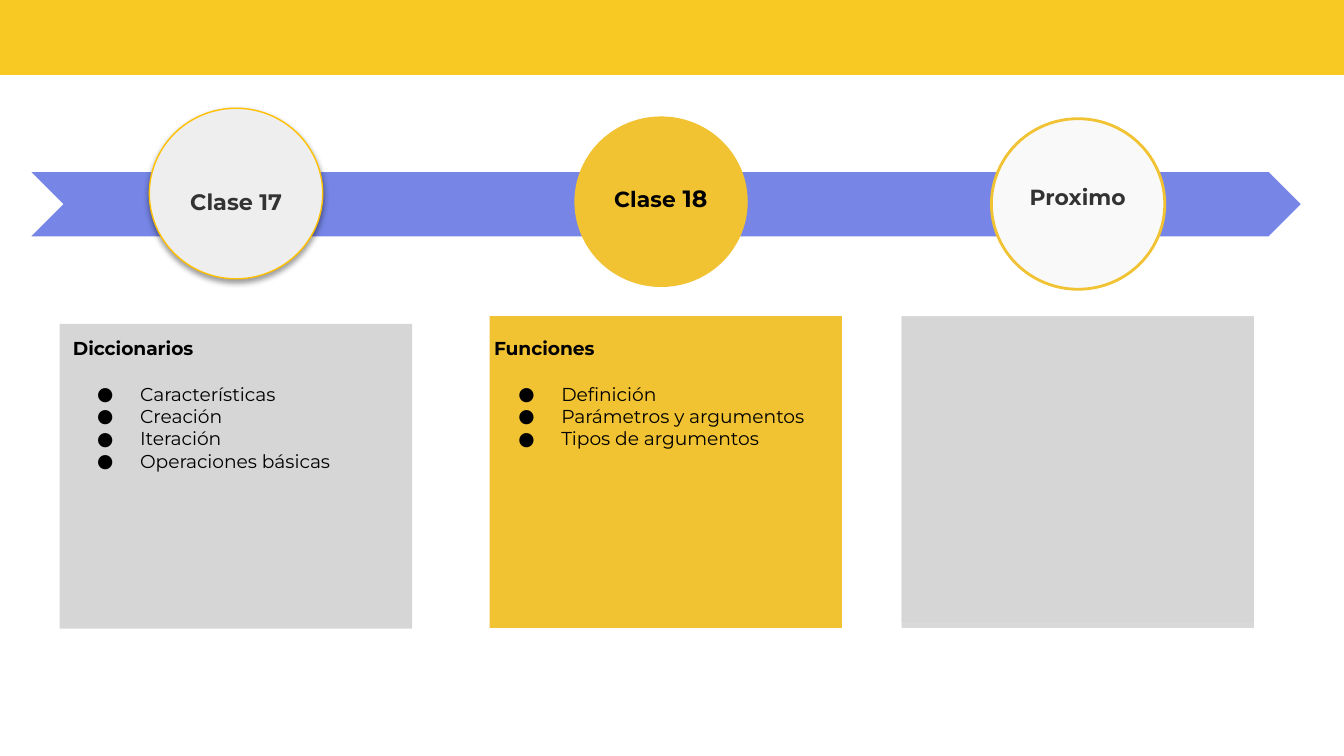
from dataclasses import dataclass
from typing import Optional

from lxml.etree import SubElement
from pptx import Presentation
from pptx.dml.color import RGBColor
from pptx.enum.shapes import MSO_SHAPE as Preset
from pptx.enum.text import MSO_ANCHOR as Anchor, PP_ALIGN as Align
from pptx.oxml.ns import qn
from pptx.util import Pt

COLORS = {
    "banner": "F8C823", "arrow": "7685E6", "current": "F1C232", "amber": "FFC000",
    "past": "EEEEEE", "next": "F9F9F9", "card": "D6D6D6", "card_edge": "D9D9D9",
    "black": "000000", "dark": "333333",
}
FONT = "Montserrat"
FRAME_FORMAT = {
    "word_wrap": True, "vertical_anchor": Anchor.TOP,
    "margin_left": Pt(7.2), "margin_top": Pt(7.2),
    "margin_right": Pt(7.2), "margin_bottom": Pt(7.2),
}
CARD_WIDTH, CARD_HEIGHT = 188.8, 163.4
BACKDROP_HEIGHT = 167.1
CIRCLE_SIZE = (92.9, 91.4)
LABEL_SIZE = (72, 23.8)


@dataclass(frozen=True)
class Block:
    kind: Preset
    left: float
    top: float
    width: float
    height: float
    fill: str
    line: Optional[str] = None
    line_width: float = 0
    shadow: bool = False


@dataclass(frozen=True)
class Label:
    left: float
    top: float
    runs: tuple[tuple[str, float], ...]
    color: str


@dataclass(frozen=True)
class Topic:
    left: float
    top: float
    heading: str
    items: tuple[str, ...]


BLOCKS = (
    Block(Preset.CHEVRON, 16.8, 92.2, 680, 34.4, "arrow"),
    Block(Preset.OVAL, 307.7, 62.4, *CIRCLE_SIZE, "current"),
    Block(Preset.OVAL, 531.1, 63.6, *CIRCLE_SIZE, "next", "current", 1.5),
    Block(Preset.RECTANGLE, 262.3, 169.3, CARD_WIDTH, BACKDROP_HEIGHT, "current"),
    Block(Preset.RECTANGLE, 483, 169.3, CARD_WIDTH, BACKDROP_HEIGHT, "card_edge"),
    Block(Preset.RECTANGLE, 0, 0, 720, 40.2, "banner"),
    Block(Preset.RECTANGLE, 32, 173.5, CARD_WIDTH, CARD_HEIGHT, "card"),
    Block(Preset.OVAL, 80, 58, *CIRCLE_SIZE, "past", "amber", 0.75, True),
    Block(Preset.RECTANGLE, 483, 169.9, CARD_WIDTH, CARD_HEIGHT, "card"),
)
LABELS = (
    Label(90.5, 93.6, (("Clase 17", 12),), "dark"),
    Label(318, 91.4, (("Clase", 11.7), (" 18", 12.6)), "black"),
    Label(541.4, 91.4, (("Proximo", 11.7),), "dark"),
)
TOPICS = (
    Topic(32, 173.5, "Diccionarios",
          ("Características", "Creación", "Iteración", "Operaciones básicas")),
    Topic(257.6, 173.5, "Funciones",
          ("Definición", "Parámetros y argumentos", "Tipos de argumentos")),
)


def rgb(name: str) -> RGBColor:
    return RGBColor.from_string(COLORS[name])


def add_shadow(shape) -> None:
    effects = shape._element.spPr.find(qn("a:effectLst"))
    shadow = SubElement(effects, qn("a:outerShdw"), blurRad=str(Pt(3.1)),
                        dist=str(Pt(1.6)), dir="5400000", rotWithShape="0")
    color = SubElement(shadow, qn("a:srgbClr"), val=COLORS["black"])
    SubElement(color, qn("a:alpha"), val="38000")


def draw_block(slide, block: Block) -> None:
    shape = slide.shapes.add_shape(
        block.kind, Pt(block.left), Pt(block.top), Pt(block.width), Pt(block.height))
    shape.shadow.inherit = False
    shape.fill.solid()
    shape.fill.fore_color.rgb = rgb(block.fill)
    if block.line:
        shape.line.color.rgb = rgb(block.line)
        shape.line.width = Pt(block.line_width)
    else:
        shape.line.fill.background()
    if block.shadow:
        add_shadow(shape)


def add_frame(slide, left: float, top: float, width: float, height: float):
    frame = slide.shapes.add_textbox(Pt(left), Pt(top), Pt(width), Pt(height)).text_frame
    for name, value in FRAME_FORMAT.items():
        setattr(frame, name, value)
    return frame


def add_run(paragraph, text: str, size: float, color: str, bold: bool) -> None:
    run = paragraph.add_run()
    run.text = text
    for name, value in {"name": FONT, "size": Pt(size), "bold": bold}.items():
        setattr(run.font, name, value)
    run.font.color.rgb = rgb(color)


def draw_label(slide, label: Label) -> None:
    paragraph = add_frame(slide, label.left, label.top, *LABEL_SIZE).paragraphs[0]
    paragraph.alignment = Align.CENTER
    for text, size in label.runs:
        add_run(paragraph, text, size, label.color, True)


def add_bullet(paragraph) -> None:
    properties = paragraph._p.get_or_add_pPr()
    properties.set("marL", str(Pt(36)))
    properties.set("indent", str(Pt(-23)))
    color = SubElement(properties, qn("a:buClr"))
    SubElement(color, qn("a:srgbClr"), val=COLORS["black"])
    SubElement(properties, qn("a:buFont"), typeface=FONT)
    SubElement(properties, qn("a:buChar"), char="●")


def draw_topic(slide, topic: Topic) -> None:
    frame = add_frame(slide, topic.left, topic.top, CARD_WIDTH, CARD_HEIGHT)
    heading = frame.paragraphs[0]
    heading.space_after = Pt(12.2)
    add_run(heading, topic.heading, 10, "black", True)
    for item in topic.items:
        paragraph = frame.add_paragraph()
        add_bullet(paragraph)
        add_run(paragraph, item, 10, "black", False)


presentation = Presentation()
presentation.slide_width, presentation.slide_height = Pt(720), Pt(405)
slide = presentation.slides.add_slide(presentation.slide_layouts[6])

# Banner, timeline, circles and cards
for block in BLOCKS:
    draw_block(slide, block)

# Circle labels
for label in LABELS:
    draw_label(slide, label)

# Topic lists
for topic in TOPICS:
    draw_topic(slide, topic)

presentation.save("out.pptx")
